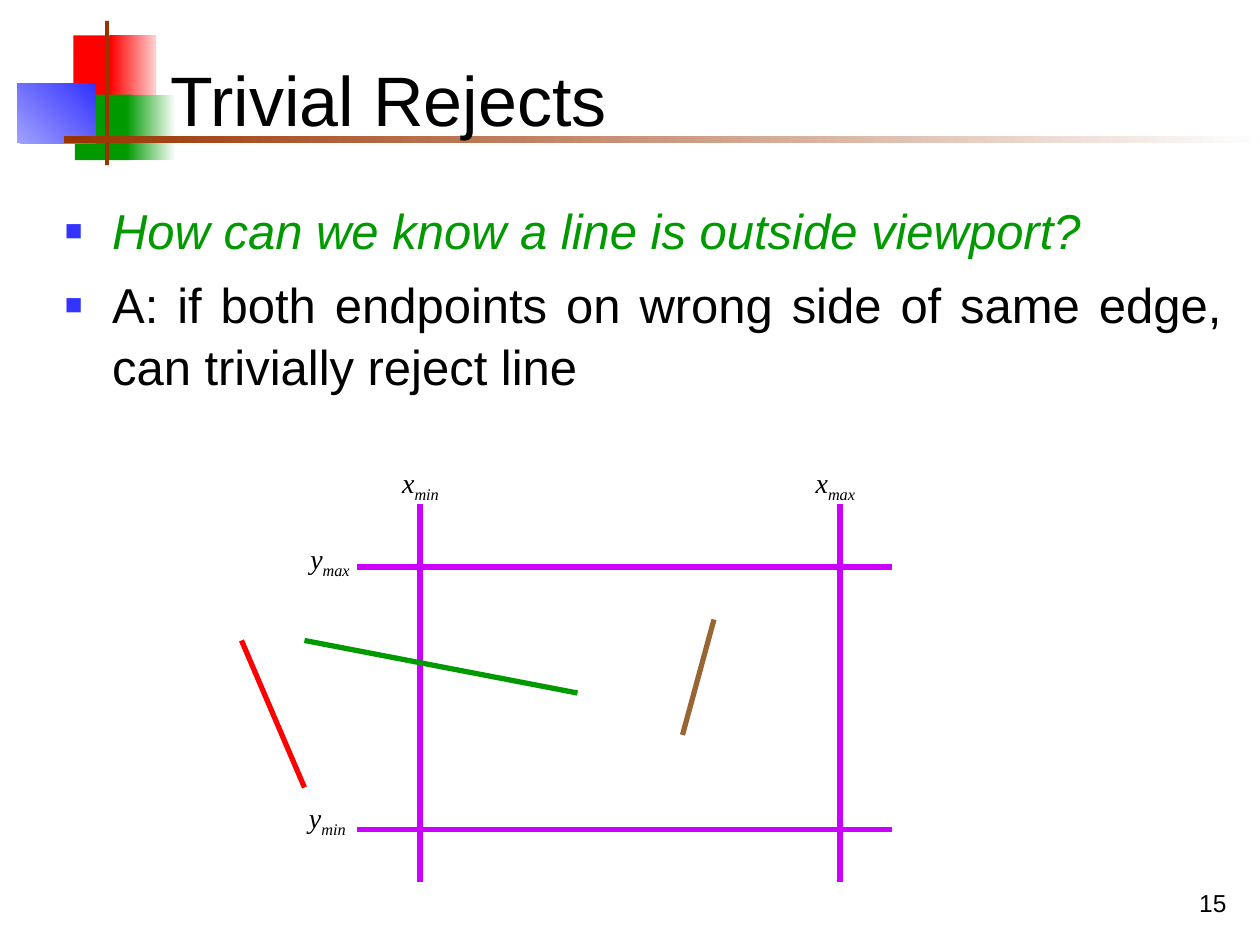
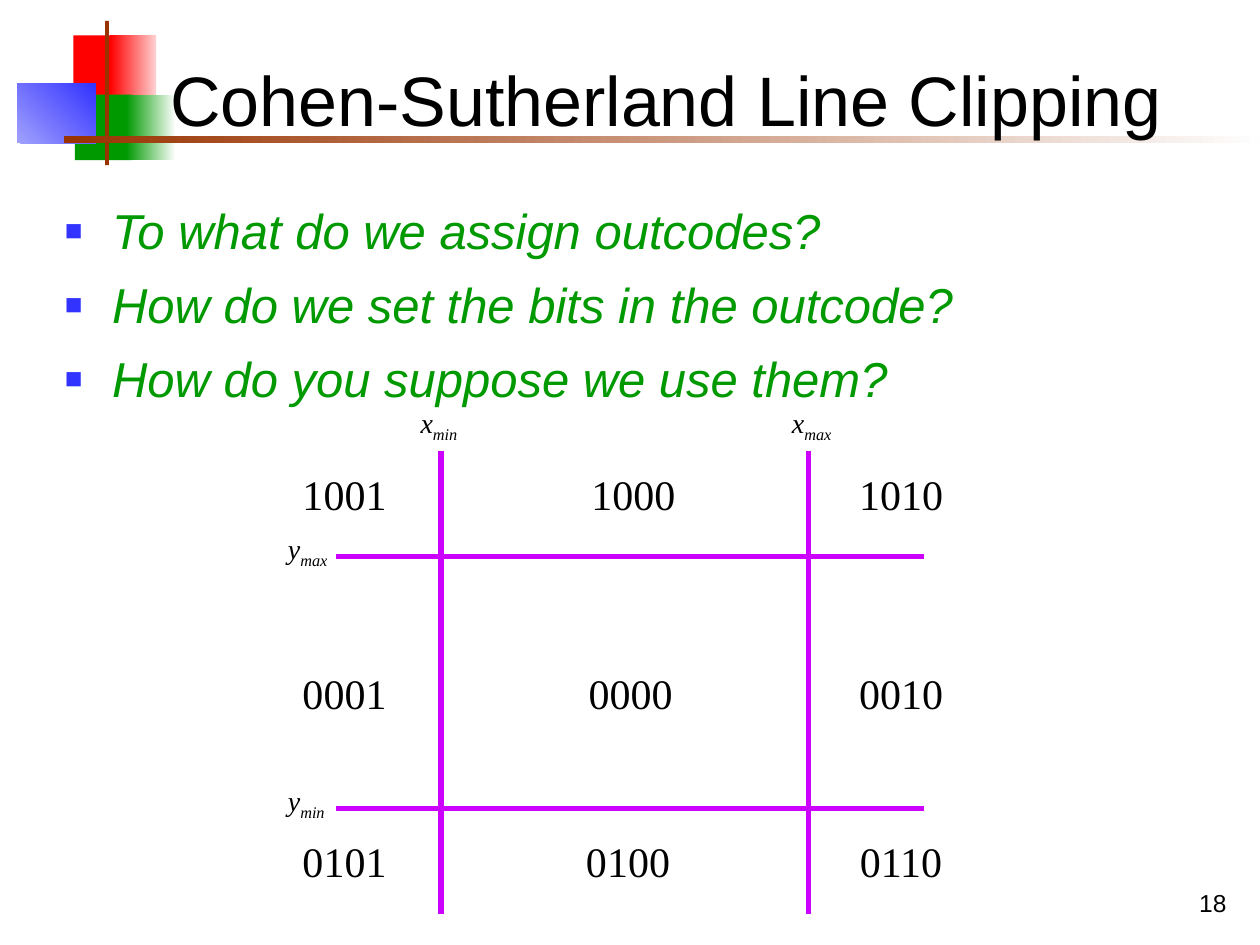
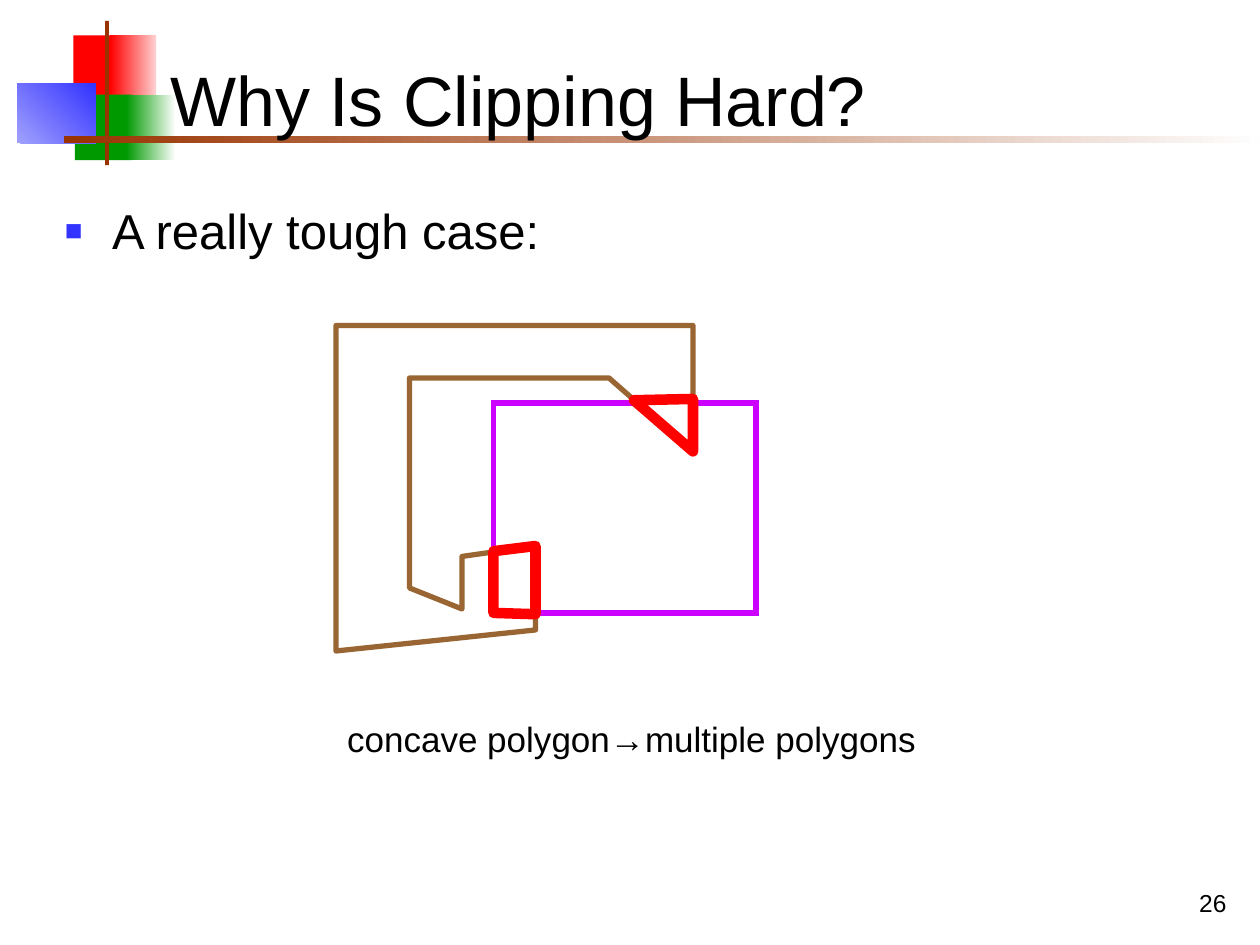
from lxml.etree import SubElement
from pptx import Presentation
from pptx.dml.color import RGBColor
from pptx.enum.shapes import MSO_CONNECTOR, MSO_SHAPE
from pptx.enum.text import MSO_ANCHOR, MSO_AUTO_SIZE, PP_ALIGN
from pptx.oxml.ns import qn
from pptx.util import Pt

PX = 9525  # EMU per px, 96 px to the inch
COLORS = {
    "text": "000000",
    "white": "FFFFFF",
    "red": "FF0000",
    "pale red": "FED0D0",
    "green": "009900",
    "blue": "3333FF",
    "pale blue": "A1A1FE",
    "rust": "993300",
    "pale rust": "FEFEFE",
    "brown": "996633",
    "violet": "CC00FF",
}
SANS, SERIF = "Arial", "Times New Roman"


def rgb(name):
    return RGBColor.from_string(COLORS[name])


def emu(*lengths):
    return [length * PX for length in lengths]


class SlideWriter:
    """Holds the deck's style and the slide being filled."""

    def __init__(self):
        self.deck = Presentation()
        self.deck.slide_width, self.deck.slide_height = emu(960, 720)
        self.layout = self.deck.slide_layouts[5]
        self.page = None

    def start(self, title, number):
        self.page = self.deck.slides.add_slide(self.layout)
        if len(self.deck.slides) == 1:
            self.decorate_layout()
        box = self.page.shapes.title
        box.left, box.top, box.width, box.height = emu(120, 24, 818, 88)
        self.fill_text(box, title, 40, anchor=MSO_ANCHOR.BOTTOM)
        self.text(str(number), 744, 656, 200, 48, 14,
                  align=PP_ALIGN.RIGHT, anchor=MSO_ANCHOR.BOTTOM)

    def decorate_layout(self):
        """Draw the corner blocks and the title rule once, on the layout."""
        blocks = [
            self.block(56, 27, 34, 50, "red"),
            self.block(84, 27, 35, 50, "red", "pale red"),
            self.block(57, 72, 44, 50, "green"),
            self.block(96, 72, 38, 50, "green", "white"),
            self.block(13, 64, 60, 45, "pale blue", "blue", angle=45),
            self.block(80, 16, 3, 110, "rust"),
            self.block(49, 104, 911, 5, "rust", "pale rust"),
        ]
        for shape_id, block in enumerate(blocks, start=101):
            block.element.nvSpPr.cNvPr.set("id", str(shape_id))
            self.layout.shapes.element.append(block.element)

    def block(self, left, top, width, height, color, fade_to=None, angle=0):
        block = self.page.shapes.add_shape(
            MSO_SHAPE.RECTANGLE, *emu(left, top, width, height))
        block.shadow.inherit = False
        block.line.fill.background()
        if fade_to:
            block.fill.gradient()
            block.fill.gradient_angle = angle
            for stop, name in zip(block.fill.gradient_stops, (color, fade_to)):
                stop.color.rgb = rgb(name)
        else:
            block.fill.solid()
            block.fill.fore_color.rgb = rgb(color)
        return block

    def fill_text(self, box, text, size, font=SANS, align=PP_ALIGN.LEFT,
                  anchor=MSO_ANCHOR.TOP, wrap=True):
        frame = box.text_frame
        frame.text = text
        frame.word_wrap = wrap
        frame.auto_size = (MSO_AUTO_SIZE.NONE if wrap
                           else MSO_AUTO_SIZE.SHAPE_TO_FIT_TEXT)
        frame.vertical_anchor = anchor
        for para in frame.paragraphs:
            para.alignment = align
            for span in para.runs:
                self.style(span, size, font)

    def style(self, span, size, font=SANS, color="text", italic=False):
        span.font.size = Pt(size)
        span.font.name = font
        span.font.italic = italic
        span.font.color.rgb = rgb(color)

    def text(self, text, left, top, width, height, size, **options):
        box = self.page.shapes.add_textbox(*emu(left, top, width, height))
        self.fill_text(box, text, size, **options)
        return box

    def bullets(self, *items):
        """Each item is (text, is_question); questions are green italics."""
        box = self.text("\n".join(text for text, _ in items),
                        40, 146, 900, 550, 28, align=PP_ALIGN.JUSTIFY)
        for index, para in enumerate(box.text_frame.paragraphs):
            self.add_bullet(para)
            para.line_spacing = 1.05
            if index:
                para.space_before = Pt(7)
            if items[index][1]:
                self.style(para.runs[0], 28, color="green", italic=True)

    def add_bullet(self, para):
        props = para._p.get_or_add_pPr()
        props.set("marL", str(36 * PX))
        props.set("indent", str(-36 * PX))
        color = SubElement(props, qn("a:buClr"))
        SubElement(color, qn("a:srgbClr"), val=COLORS["blue"])
        SubElement(props, qn("a:buSzPct"), val="60000")
        SubElement(props, qn("a:buFont"), typeface=SANS)
        SubElement(props, qn("a:buChar"), char="■")

    def line(self, start, end, color):
        line = self.page.shapes.add_connector(
            MSO_CONNECTOR.STRAIGHT, *emu(*start, *end))
        line.line.color.rgb = rgb(color)
        line.line.width = Pt(3)
        SubElement(line.element.spPr, qn("a:effectLst"))

    def outline(self, shape, color, width, join, fill=None):
        shape.shadow.inherit = False
        if fill:
            shape.fill.solid()
            shape.fill.fore_color.rgb = rgb(fill)
        else:
            shape.fill.background()
        shape.line.color.rgb = rgb(color)
        shape.line.width = Pt(width)
        SubElement(shape.element.spPr.find(qn("a:ln")), qn(join))

    def frame(self, left, top, width, height, color):
        frame = self.page.shapes.add_shape(
            MSO_SHAPE.RECTANGLE, *emu(left, top, width, height))
        self.outline(frame, color, 3, "a:miter")

    def polygon(self, points, color, width, fill=None):
        builder = self.page.shapes.build_freeform(*points[0], scale=PX)
        builder.add_line_segments(points[1:], close=True)
        self.outline(builder.convert_to_shape(), color, width, "a:round", fill)

    def viewport(self, columns, rows, across, down):
        """Cross the edge lines of a viewport: across and down are extents."""
        for y in rows:
            self.line((across[0], y), (across[1], y), "violet")
        for x in columns:
            self.line((x, down[1]), (x, down[0]), "violet")

    def edge_label(self, axis, limit, left, top):
        width = 47 if limit == "min" else 49
        box = self.text(axis, left, top, width, 39, 16, wrap=False)
        para = box.text_frame.paragraphs[0]
        para.add_run().text = limit
        for span in para.runs:
            self.style(span, 16, SERIF, italic=True)
        para.runs[1]._r.get_or_add_rPr().set("baseline", "-25000")


def trivial_rejects(writer):
    writer.start("Trivial Rejects", 15)
    writer.bullets(
        ("How can we know a line is outside viewport?", True),
        ("A: if both endpoints on wrong side of same edge, "
         "can trivially reject line", False))
    writer.viewport((320, 640), (432, 632), (272, 680), (384, 672))
    # Candidate lines: outside, crossing and inside
    writer.line((184, 488), (232, 600), "red")
    writer.line((232, 488), (440, 528), "green")
    writer.line((520, 560), (544, 472), "brown")
    writer.edge_label("x", "min", 297, 350)
    writer.edge_label("x", "max", 612, 350)
    writer.edge_label("y", "max", 227, 408)
    writer.edge_label("y", "min", 226, 605)


def line_clipping(writer):
    writer.start("Cohen-Sutherland Line Clipping", 18)
    writer.bullets(
        ("To what do we assign outcodes?", True),
        ("How do we set the bits in the outcode?", True),
        ("How do you suppose we use them?", True))
    writer.viewport((336, 616), (424, 616), (256, 704), (344, 696))
    writer.edge_label("x", "min", 311, 304)
    writer.edge_label("x", "max", 594, 304)
    writer.edge_label("y", "max", 210, 400)
    writer.edge_label("y", "min", 210, 592)
    # Outcodes of the nine regions
    outcode_rows = [
        (352, 441, ("1001", "1000", "1010")),
        (504, 439, ("0001", "0000", "0010")),
        (632, 437, ("0101", "0100", "0110")),
    ]
    for top, middle, outcodes in outcode_rows:
        for left, outcode in zip((221, middle, 645), outcodes):
            writer.text(outcode, left, top, 83, 48, 24, font=SERIF, wrap=False,
                        align=PP_ALIGN.CENTER, anchor=MSO_ANCHOR.MIDDLE)


def hard_clipping(writer):
    writer.start("Why Is Clipping Hard?", 26)
    writer.bullets(("A really tough case:", False))
    # Concave polygon, viewport and the two clipped pieces
    concave = [(408, 480), (408, 416), (352, 424), (352, 464), (312, 448),
               (312, 288), (464, 288), (528, 344), (528, 248), (256, 248),
               (256, 496)]
    writer.polygon(concave, "brown", 3)
    writer.frame(376, 307, 200, 160, "violet")
    lower_piece = [(408, 468), (408, 416), (376, 420), (376, 467)]
    upper_piece = [(483, 305), (528, 344), (528, 304)]
    for piece in (lower_piece, upper_piece):
        writer.polygon(piece, "red", 6, fill="white")
    writer.text("concave polygon→multiple polygons", 255, 542, 453, 42, 20,
                anchor=MSO_ANCHOR.MIDDLE, wrap=False)


def main():
    writer = SlideWriter()
    trivial_rejects(writer)
    line_clipping(writer)
    hard_clipping(writer)
    writer.deck.save("out.pptx")


if __name__ == "__main__":
    main()
